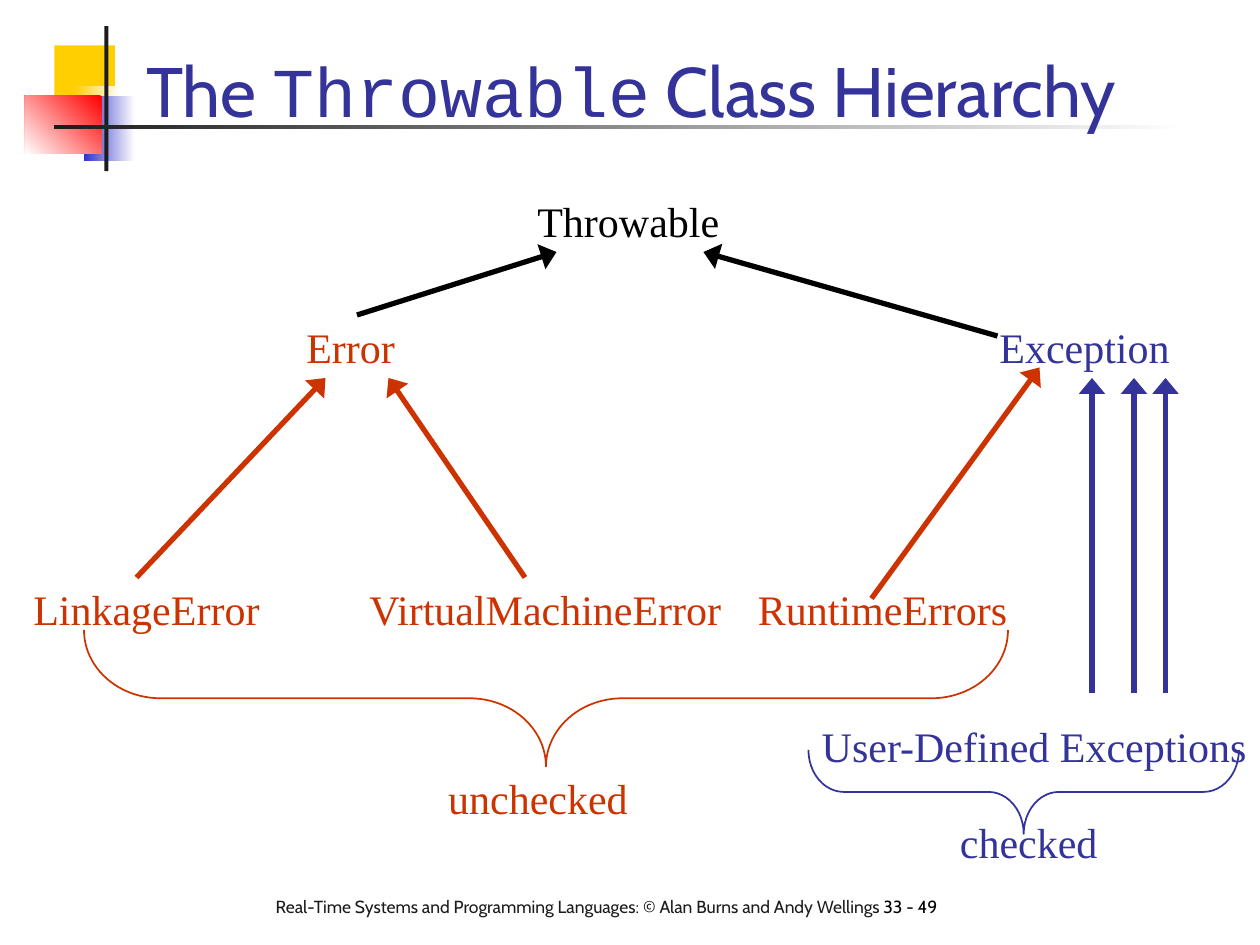
"""Build a slide that shows the Throwable class hierarchy."""
from lxml import etree
from pptx import Presentation
from pptx import util as u
from pptx.dml.color import RGBColor
from pptx.enum import shapes, text
from pptx.oxml import ns

BLACK = RGBColor(0x00, 0x00, 0x00)
CHARCOAL = RGBColor(0x1C, 0x1C, 0x1C)
WHITE = RGBColor(0xFF, 0xFF, 0xFF)
YELLOW = RGBColor(0xFF, 0xCF, 0x01)
BLUE = RGBColor(0x33, 0x33, 0xCC)
RED = RGBColor(0xFF, 0x00, 0x00)
NAVY = RGBColor(0x33, 0x33, 0x99)
RUST = RGBColor(0xCC, 0x33, 0x00)


class HierarchySlide:
    """Hold the style and the current page."""

    heading_font = "Cabin"
    code_font = "Courier New"
    label_font = "Times New Roman"
    label_size = 24
    arrow_width = 3
    brace_width = 1

    def __init__(self, page):
        self.page = page

    def block(self, left, top, width, height, *colors, angle=180):
        """Draw a plain block, or a gradient one when two colours are given."""
        box = self.page.shapes.add_shape(
            shapes.MSO_SHAPE.RECTANGLE, *map(u.Pt, (left, top, width, height)))
        box.shadow.inherit = False
        box.line.fill.background()
        if len(colors) == 1:
            box.fill.solid()
            box.fill.fore_color.rgb = colors[0]
            return
        box.fill.gradient()
        box.fill.gradient_angle = angle
        for stop, color in zip(box.fill.gradient_stops, colors):
            stop.color.rgb = color

    def title(self, left, top, width, height, parts):
        """Fill the title placeholder and bring it to the front."""
        box = self.page.shapes.title
        box.left, box.top, box.width, box.height = map(u.Pt, (left, top, width, height))
        frame = box.text_frame
        frame.auto_size = text.MSO_AUTO_SIZE.NONE
        frame.vertical_anchor = text.MSO_ANCHOR.BOTTOM
        para = frame.paragraphs[0]
        para.alignment = text.PP_ALIGN.LEFT
        para.font.size = u.Pt(40)
        para.font.color.rgb = NAVY
        for words, font in parts:
            span = para.add_run()
            span.text = words
            span.font.name = font
        self.page.shapes.element.append(box.element)

    def textbox(self, left, top, width, height, size, font, wrap):
        """Add an empty text box that grows with its text and return its paragraph."""
        box = self.page.shapes.add_textbox(*map(u.Pt, (left, top, width, height)))
        box.text_frame.word_wrap = wrap
        box.text_frame.auto_size = text.MSO_AUTO_SIZE.SHAPE_TO_FIT_TEXT
        para = box.text_frame.paragraphs[0]
        para.font.size = u.Pt(size)
        para.font.name = font
        return para

    def label(self, words, left, top, width, color):
        """Add a one-line label."""
        para = self.textbox(left, top, width, 36, self.label_size, self.label_font, False)
        para.text = words
        para.font.color.rgb = color

    def footer(self, left, top, width, height, parts):
        """Add the footer line."""
        para = self.textbox(left, top, width, height, 10, self.heading_font, True)
        for words, color in parts:
            span = para.add_run()
            span.text = words
            span.font.color.rgb = color

    def arrow(self, start, end, color):
        """Draw an arrow that points at its end."""
        line = self.page.shapes.add_connector(
            shapes.MSO_CONNECTOR.STRAIGHT, *map(u.Pt, (*start, *end)))
        line.line.width = u.Pt(self.arrow_width)
        line.line.color.rgb = color
        etree.SubElement(
            line.line._get_or_add_ln(), ns.qn("a:tailEnd"), type="triangle", w="lg")
        etree.SubElement(line.element.spPr, ns.qn("a:effectLst"))

    def brace(self, left, top, width, depth, curve, color):
        """Draw a brace that opens upward."""
        box = self.page.shapes.add_shape(
            shapes.MSO_SHAPE.LEFT_BRACE,
            u.Pt(left + (width - depth) / 2), u.Pt(top - (width - depth) / 2),
            u.Pt(depth), u.Pt(width))
        box.rotation = 270
        box.adjustments[0] = curve
        box.shadow.inherit = False
        box.fill.background()
        box.line.width = u.Pt(self.brace_width)
        box.line.color.rgb = color


def main():
    """Build and save the deck."""
    deck = Presentation()
    deck.slide_width, deck.slide_height = u.Pt(720), u.Pt(540)
    slide = HierarchySlide(deck.slides.add_slide(deck.slide_layouts[5]))

    slide.block(31, 26, 34.6, 37.4, YELLOW)
    slide.block(42.5, 49, 26, 37.4, WHITE, YELLOW)
    slide.block(48.2, 54.7, 28.8, 37.4, WHITE, BLUE)
    slide.block(14.2, 54.7, 44, 33.2, RED, WHITE, angle=225)
    slide.block(59.7, 15, 2.3, 82.8, CHARCOAL)
    slide.block(31, 71.3, 648, 2.6, WHITE, CHARCOAL)

    slide.footer(150.5, 508.3, 436.3, 33, [
        ("Real-Time Systems and Programming Languages: © Alan Burns and Andy Wellings ", CHARCOAL),
        ("33 - 49", BLACK),
    ])
    slide.title(76.3, 9, 613.4, 69.8, [
        ("The ", slide.heading_font),
        ("Throwable", slide.code_font),
        (" Class Hierarchy", slide.heading_font),
    ])

    for words, left, top, width, color in [
        ("Throwable", 300, 108, 119, BLACK),
        ("Error", 168, 180, 66, RUST),
        ("Exception", 564, 180, 112, NAVY),
        ("LinkageError", 12, 330, 144, RUST),
        ("VirtualMachineError", 204, 330, 217, RUST),
        ("RuntimeErrors", 426, 330, 158, RUST),
        ("User-Defined Exceptions", 462.5, 408, 258, NAVY),
        ("unchecked", 249, 438, 118, RUST),
        ("checked", 541.5, 463, 94, NAVY),
    ]:
        slide.label(words, left, top, width, color)

    for start, end, color in [
        ((78, 330), (186, 216), RUST),
        ((300, 330), (222, 216), RUST),
        ((498, 342), (594, 210), RUST),
        ((204, 180), (318, 144), BLACK),
        ((570, 192), (402, 144), BLACK),
    ]:
        slide.arrow(start, end, color)
    for x in (624, 648, 666):
        slide.arrow((x, 396), (x, 216), NAVY)

    slide.brace(48, 360, 528, 78, 0.56, RUST)
    slide.brace(462, 428.5, 246, 48, 0.42, NAVY)

    deck.save("out.pptx")


if __name__ == "__main__":
    main()
